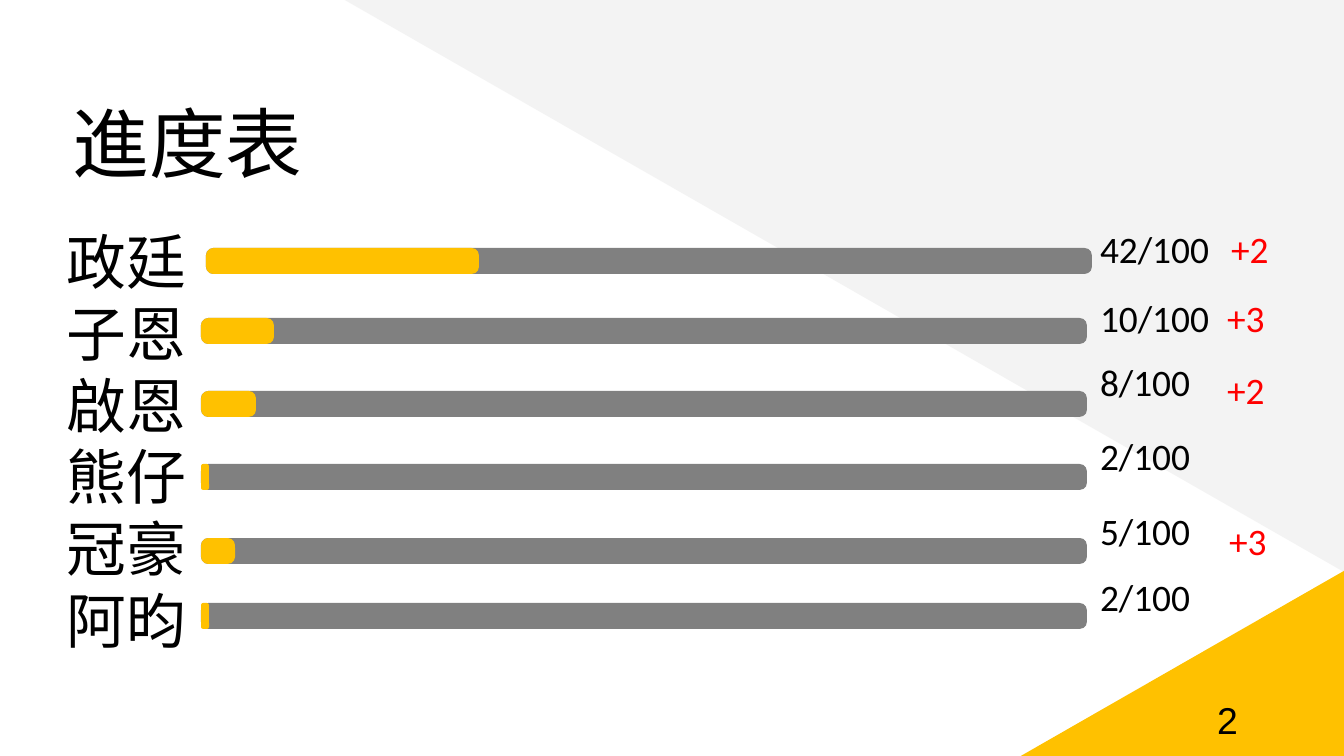
from collections import namedtuple
from lxml import etree
from pptx import Presentation
from pptx.dml.color import RGBColor
from pptx.enum.shapes import MSO_SHAPE
from pptx.enum.text import MSO_ANCHOR, PP_ALIGN
from pptx.util import Emu, Pt

ROUNDED, TRIANGLE = MSO_SHAPE.ROUNDED_RECTANGLE, MSO_SHAPE.RIGHT_TRIANGLE
TOP, MIDDLE = MSO_ANCHOR.TOP, MSO_ANCHOR.MIDDLE
LEFT, RIGHT = PP_ALIGN.LEFT, PP_ALIGN.RIGHT

# Content
TITLE = "進度表"
PAGE = "2"
Member = namedtuple("Member", "name score gain bar_left bar_top done score_top gain_at")
MEMBERS = [
    Member("政廷", "42/100", "+2", 206, 248, 273, 243, (1218, 243)),
    Member("子恩", "10/100", "+3", 201, 318, 73, 312, (1214, 312)),
    Member("啟恩", "8/100", "+2", 201, 391, 55, 376, (1214, 384)),
    Member("熊仔", "2/100", None, 201, 464, 8, 450, None),
    Member("冠豪", "5/100", "+3", 201, 538, 34, 525, (1216, 535)),
    Member("阿昀", "2/100", None, 201, 603, 8, 591, None),
]


class Theme:
    font, page_font = "Calibri", "Arial"
    title, name, small = 41, 32, 20
    tight_line = Pt(10)
    ink = RGBColor(0x00, 0x00, 0x00)
    gain = RGBColor(0xFF, 0x00, 0x00)
    accent = RGBColor(0xFF, 0xC1, 0x00)
    track = RGBColor(0x80, 0x80, 0x80)
    pale = RGBColor(0xF3, 0xF3, 0xF3)


# Geometry in px
EMU_PER_PX = 914400 / 134.4
BAR_WIDTH, BAR_HEIGHT, BAR_ROUNDING = 886, 26, 0.28
SCORE_LEFT, SCORE_WIDTH, GAIN_WIDTH, LABEL_HEIGHT = 1087, 226, 74, 40
INSET = 13


def px(length):
    return Emu(round(length * EMU_PER_PX))


def add_shape(slide, kind, box, color):
    shape = slide.shapes.add_shape(kind, *map(px, box))
    shape.shadow.inherit = False
    shape.fill.solid()
    shape.fill.fore_color.rgb = color
    shape.line.fill.background()
    return shape


def add_bar(slide, left, top, width, color):
    bar = add_shape(slide, ROUNDED, (left, top, width, BAR_HEIGHT), color)
    bar.adjustments[0] = BAR_ROUNDING


def add_text(slide, lines, box, size, color=Theme.ink, font=Theme.font,
             spacing=None, align=LEFT, anchor=TOP, inset=INSET):
    frame = slide.shapes.add_textbox(*map(px, box)).text_frame
    frame.word_wrap = True
    frame.vertical_anchor = anchor
    frame.margin_left = frame.margin_right = px(INSET)
    frame.margin_top = frame.margin_bottom = px(inset)
    frame.text = "\n".join(lines)
    for paragraph in frame.paragraphs:
        paragraph.alignment = align
        if spacing:
            paragraph.line_spacing = spacing
        for run in paragraph.runs:
            run.font.size, run.font.name = Pt(size), font
            run.font.color.rgb = color


def main():
    deck = Presentation()
    deck.slide_width, deck.slide_height = px(1344), px(756)
    slide = deck.slides.add_slide(deck.slide_layouts[6])

    # Background corners
    upper = add_shape(slide, TRIANGLE, (343, -1, 1001, 573), Theme.pale)
    upper.rotation = 180
    lower = add_shape(slide, TRIANGLE, (1021, 571, 323, 185), Theme.accent)
    lower._element.spPr.xfrm.set("flipH", "1")

    # Title, names and page number
    add_text(slide, [TITLE], (60, 83, 1191, 85), Theme.title)
    add_text(slide, [m.name for m in MEMBERS], (54, 212, 1191, 85), Theme.name)
    add_text(slide, [PAGE], (949, 700, 302, 40), Theme.small, font=Theme.page_font,
             align=RIGHT, anchor=MIDDLE, inset=0)

    # Progress bars with score and gain
    for m in MEMBERS:
        add_bar(slide, m.bar_left, m.bar_top, BAR_WIDTH, Theme.track)
        add_bar(slide, m.bar_left, m.bar_top, m.done, Theme.accent)
        add_text(slide, [m.score], (SCORE_LEFT, m.score_top, SCORE_WIDTH, LABEL_HEIGHT),
                 Theme.small, spacing=Theme.tight_line)
        if m.gain:
            add_text(slide, [m.gain], (*m.gain_at, GAIN_WIDTH, LABEL_HEIGHT),
                     Theme.small, Theme.gain, spacing=Theme.tight_line)

    deck.save("out.pptx")


if __name__ == "__main__":
    main()
